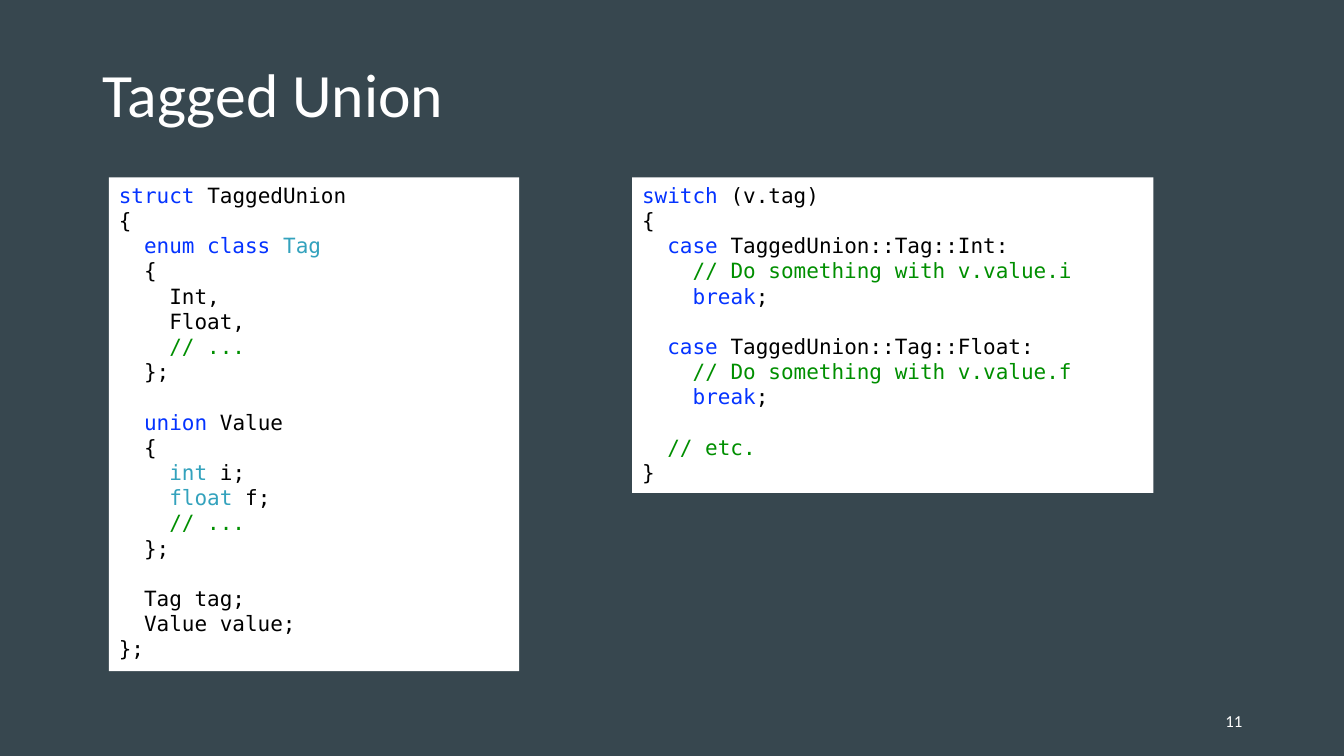
"""Build the Tagged Union slide with two highlighted code panels."""
from dataclasses import dataclass
from itertools import groupby

from pptx import Presentation
from pptx.dml.color import RGBColor as Rgb
from pptx.enum.shapes import MSO_SHAPE as Shape
from pptx.enum.text import MSO_ANCHOR as Anchor, MSO_AUTO_SIZE as Auto, PP_ALIGN as Align
from pptx.util import Inches, Pt

INK = {
    "back": "37474F", "white": "FFFFFF", "plain": "000000",
    "key": "0433FF", "type": "33A2BD", "note": "008F00",
}
WORDS = {
    "key": {"struct", "enum", "class", "union", "switch", "case", "break"},
    "type": {"int", "float"},
}
SANS, MONO = "Calibri", "DejaVu Sans Mono"
LINE = Pt(18)


@dataclass
class Box:
    left: float
    top: float
    width: float
    height: float

    def area(self) -> list:
        return [Inches(n) for n in (self.left, self.top, self.width, self.height)]


@dataclass
class Label:
    box: Box
    text: str
    size: int
    align: Align
    pitch: float


@dataclass
class Panel:
    box: Box
    code: str


LABELS = [
    Label(Box(0.92, 0.4, 11.5, 1.13), "Tagged Union", 44, Align.LEFT, 0.9),
    Label(Box(9.42, 6.95, 3, 0.4), "11", 12, Align.RIGHT, 1.0),
]

PANELS = [
    Panel(Box(1.08, 1.76, 4.07, 4.9), """struct TaggedUnion
{
  enum class Tag
  {
    Int,
    Float,
    // ...
  };

  union Value
  {
    int i;
    float f;
    // ...
  };

  Tag tag;
  Value value;
};"""),
    Panel(Box(6.27, 1.76, 5.17, 3.13), """switch (v.tag)
{
  case TaggedUnion::Tag::Int:
    // Do something with v.value.i
    break;

  case TaggedUnion::Tag::Float:
    // Do something with v.value.f
    break;

  // etc.
}"""),
]


def tint(hue: str) -> Rgb:
    return Rgb.from_string(INK[hue])


def parts(line: str) -> list[tuple[str, str]]:
    body = line.lstrip()
    lead = line[:len(line) - len(body)]
    if body.startswith("//"):
        return [("plain", lead), ("note", body)]
    bits, last = [("plain", lead)], ""
    for word in body.split(" "):
        name = word.rstrip(";")
        hue = next((h for h, group in WORDS.items() if name in group), "plain")
        if last == "class":
            hue = "type"
        gap = " " if last else ""
        bits += [(bits[-1][0], gap), (hue, name), ("plain", word[len(name):])]
        bits = [bit for bit in bits if bit[1]]
        last = name
    return [(hue, "".join(text for _, text in run))
            for hue, run in groupby(bits, key=lambda bit: bit[0])]


def add_label(slide, label: Label) -> None:
    frame = slide.shapes.add_textbox(*label.box.area()).text_frame
    frame.word_wrap = True
    frame.vertical_anchor = Anchor.MIDDLE
    para = frame.paragraphs[0]
    para.text = label.text
    para.alignment = label.align
    para.line_spacing = label.pitch
    para.font.name, para.font.size = SANS, Pt(label.size)
    para.font.color.rgb = tint("white")


def add_panel(slide, panel: Panel) -> None:
    shape = slide.shapes.add_shape(Shape.RECTANGLE, *panel.box.area())
    shape.shadow.inherit = False
    shape.fill.solid()
    shape.fill.fore_color.rgb = tint("white")
    shape.line.fill.background()
    frame = shape.text_frame
    frame.word_wrap = True
    frame.auto_size = Auto.SHAPE_TO_FIT_TEXT
    frame.vertical_anchor = Anchor.TOP
    para, gap = frame.paragraphs[0], False
    for row, line in enumerate(panel.code.splitlines()):
        if not line:
            gap = True
            continue
        if row:
            para = frame.add_paragraph()
        para.alignment = Align.LEFT
        if gap:
            para.space_before = LINE
        para.font.name, para.font.size = MONO, Pt(15)
        for hue, text in parts(line):
            if text:
                run = para.add_run()
                run.text = text
                run.font.color.rgb = tint(hue)
        gap = False


def main() -> None:
    deck = Presentation()
    deck.slide_width, deck.slide_height = Inches(13.33), Inches(7.5)
    slide = deck.slides.add_slide(deck.slide_layouts[6])
    slide.background.fill.solid()
    slide.background.fill.fore_color.rgb = tint("back")
    for label in LABELS:
        add_label(slide, label)
    for panel in PANELS:
        add_panel(slide, panel)
    deck.save("out.pptx")


if __name__ == "__main__":
    main()
